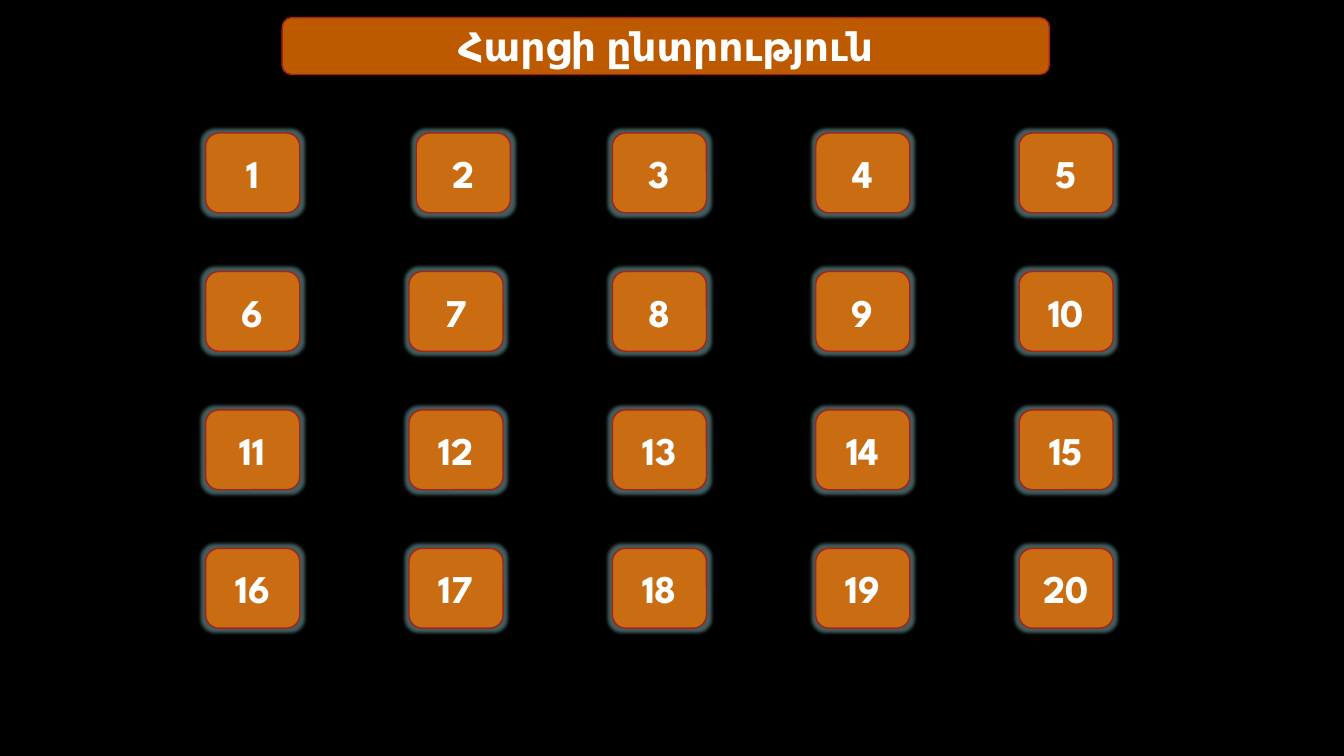
"""Build the question selection slide with a board of numbered tiles."""
from pptx import Presentation
from pptx.dml.color import RGBColor
from pptx.enum.shapes import MSO_SHAPE
from pptx.enum.text import MSO_ANCHOR, PP_ALIGN
from pptx.oxml.ns import qn
from pptx.util import Pt
from lxml.etree import SubElement

COLORS = {
    "background": "000000",
    "panel": "EA7000",
    "border": "A5221E",
    "text": "FFFFFF",
    "glow": "445F5F",
}
FONT = "League Spartan"
COLUMNS, ROWS = 5, 4
BOARD_LEFT, BOARD_TOP = 146.9, 95
COLUMN_STEP, ROW_STEP = 145.25, 98.9
TILE_WIDTH, TILE_HEIGHT = 67.2, 57
SHIFTS = {2: 5.2}


def color(name):
    """Return the named colour."""
    return RGBColor.from_string(COLORS[name])


def add_panel(slide, caption, left, top, width, height):
    """Add a translucent rounded panel with a centred caption."""
    panel = slide.shapes.add_shape(
        MSO_SHAPE.ROUNDED_RECTANGLE, Pt(left), Pt(top), Pt(width), Pt(height))
    panel.shadow.inherit = False
    panel.fill.solid()
    panel.fill.fore_color.rgb = color("panel")
    fill_color = panel.element.spPr.find(qn("a:solidFill")).find(qn("a:srgbClr"))
    SubElement(fill_color, qn("a:alpha"), val="81000")
    panel.line.color.rgb = color("border")
    panel.line.width = Pt(1)

    frame = panel.text_frame
    frame.text = caption
    frame.word_wrap = True
    frame.vertical_anchor = MSO_ANCHOR.MIDDLE
    paragraph = frame.paragraphs[0]
    paragraph.alignment = PP_ALIGN.CENTER
    font = paragraph.runs[0].font
    font.name = FONT
    font.size = Pt(28)
    font.bold = True
    font.color.rgb = color("text")
    return panel


def add_glow(panel, radius):
    """Surround a panel with a soft glow."""
    effects = panel.element.spPr.find(qn("a:effectLst"))
    glow = SubElement(effects, qn("a:glow"), rad=str(Pt(radius)))
    SubElement(glow, qn("a:srgbClr"), val=COLORS["glow"])


def add_tile(slide, number):
    """Add a numbered tile at its place on the board."""
    row, column = divmod(number - 1, COLUMNS)
    left = BOARD_LEFT + column * COLUMN_STEP + SHIFTS.get(number, 0)
    top = BOARD_TOP + row * ROW_STEP
    tile = add_panel(slide, str(number), left, top, TILE_WIDTH, TILE_HEIGHT)
    add_glow(tile, 5)


def main():
    """Create and save the presentation."""
    presentation = Presentation()
    presentation.slide_width = Pt(960)
    presentation.slide_height = Pt(540)
    slide = presentation.slides.add_slide(presentation.slide_layouts[6])
    slide.background.fill.solid()
    slide.background.fill.fore_color.rgb = color("background")

    add_panel(slide, "Հարցի ընտրություն", 201.6, 12.6, 548, 40.6)
    for number in range(1, COLUMNS * ROWS + 1):
        add_tile(slide, number)
    presentation.save("out.pptx")


if __name__ == "__main__":
    main()
